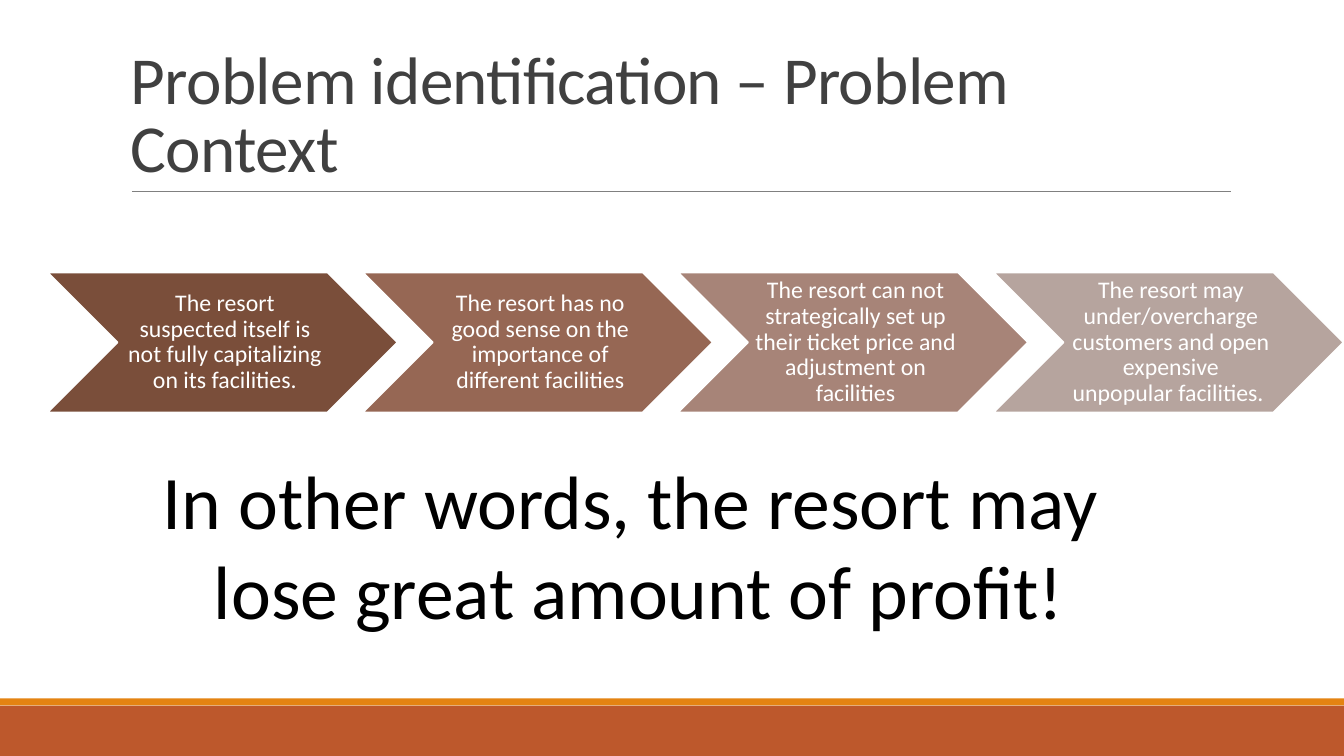
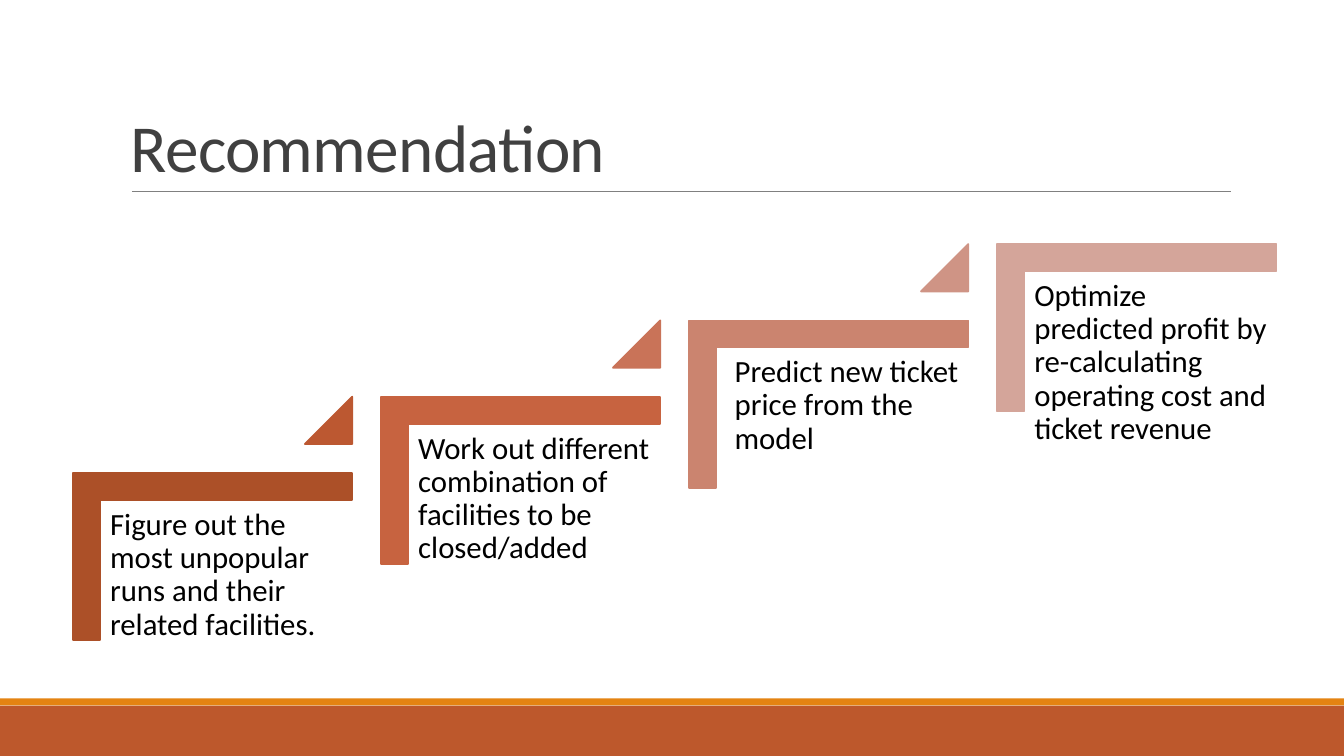
from dataclasses import dataclass

from lxml.etree import SubElement
from pptx import Presentation
from pptx.dml.color import RGBColor
from pptx.enum.shapes import MSO_CONNECTOR as Connector, MSO_SHAPE as Shape
from pptx.enum.text import MSO_ANCHOR as Anchor, MSO_AUTO_SIZE as AutoSize, PP_ALIGN as Align
from pptx.oxml.ns import qn
from pptx.util import Pt


@dataclass(frozen=True)
class Theme:
    width: float = 960
    height: float = 540
    font: str = "Calibri"
    title_size: float = 48
    statement_size: float = 54
    chevron_size: float = 17
    step_size: float = 22
    title: str = "404040"
    text: str = "000000"
    light: str = "FFFFFF"
    rule: str = "808080"
    band: str = "BD582C"
    stripe: str = "E48312"
    outline: float = 1.25


THEME = Theme()

CHEVRONS = [
    ("7A4E3A", "The resort suspected itself is not fully capitalizing on its facilities."),
    ("966754", "The resort has no good sense on the importance of different facilities"),
    ("A78478", "The resort can not strategically set up their ticket price and adjustment on facilities"),
    ("B6A49E", "The resort may under/overcharge customers and open expensive unpopular facilities. "),
]
STATEMENT = ["In other words, the resort may ", "lose great amount of profit!"]

# Corner colour, colour of the triangle after it, text indent, text
STEPS = [
    ("AC5028", "BC5831", 20, "Figure out the most unpopular runs and their related facilities."),
    ("C76340", "C97358", 20, "Work out different combination of facilities to be closed/added"),
    ("CB846F", "CF9485", 26, "Predict new ticket price from the model"),
    ("D4A59A", None, 20, "Optimize predicted profit by re-calculating operating cost and ticket revenue"),
]


def apply_format(target, values):
    for name, value in values.items():
        setattr(target, name, value)


def points(*lengths):
    return [Pt(length) for length in lengths]


def write_text(shape, lines, size, color, spacing=1.0, align=Align.LEFT, insets=None, tracking=None, **frame_format):
    frame = shape.text_frame
    apply_format(frame, {"word_wrap": True, **frame_format})
    if insets:
        sides = ("margin_left", "margin_top", "margin_right", "margin_bottom")
        apply_format(frame, dict(zip(sides, points(*insets))))
    for index, line in enumerate(lines):
        paragraph = frame.paragraphs[0] if index == 0 else frame.add_paragraph()
        apply_format(paragraph, {"alignment": align, "line_spacing": spacing})
        run = paragraph.add_run()
        run.text = line
        apply_format(run.font, {"name": THEME.font, "size": Pt(size)})
        run.font.color.rgb = RGBColor.from_string(color)
        if tracking:
            run.font._element.set("spc", str(tracking))


def add_box(slide, kind, box, fill, line=None):
    shape = slide.shapes.add_shape(kind, *points(*box))
    shape.shadow.inherit = False
    shape.fill.solid()
    shape.fill.fore_color.rgb = RGBColor.from_string(fill)
    if line:
        shape.line.color.rgb = RGBColor.from_string(line)
        shape.line.width = Pt(THEME.outline)
    else:
        shape.line.fill.background()
    return shape


def add_corner(slide, box, color):
    left, top, width, height = box
    # Placed upright, then turned about its centre
    turn = (width - height) / 2
    corner = add_box(slide, Shape.RECTANGLE, (left + turn, top - turn, height, width), color, color)
    corner.rotation = 90
    # The corner preset has no member in MSO_SHAPE
    geometry = corner._element.spPr.find(qn("a:prstGeom"))
    geometry.set("prst", "corner")
    guides = geometry.find(qn("a:avLst"))
    for name in ("adj1", "adj2"):
        SubElement(guides, qn("a:gd"), name=name, fmla="val 16100")


def add_text(slide, box, lines, size, color, **text_format):
    write_text(slide.shapes.add_textbox(*points(*box)), lines, size, color, **text_format)


def add_base_slide(presentation, title):
    slide = presentation.slides.add_slide(presentation.slide_layouts[6])
    # Footer bands
    add_box(slide, Shape.RECTANGLE, (0, 504, THEME.width, 36), THEME.band)
    add_box(slide, Shape.RECTANGLE, (0, 498.8, THEME.width, 5.04), THEME.stripe)
    # Rule below the title
    rule = slide.shapes.add_connector(Connector.STRAIGHT, *points(94.3, 136.8, 879.1, 136.8))
    rule.line.color.rgb = RGBColor.from_string(THEME.rule)
    rule.line.width = Pt(0.5)
    SubElement(rule._element.spPr, qn("a:effectLst"))
    # Title
    add_text(slide, (86.4, 22.5, 792, 114.3), [title], THEME.title_size, THEME.title,
             spacing=0.85, tracking=-50, vertical_anchor=Anchor.BOTTOM)
    return slide


def add_chevron_row(slide, box):
    left, top, width, height = box
    chevron_width = 2.5 * height
    pitch = (width - chevron_width) / (len(CHEVRONS) - 1)
    for index, (color, text) in enumerate(CHEVRONS):
        chevron = add_box(slide, Shape.CHEVRON, (left + index * pitch, top, chevron_width, height),
                          color, THEME.light)
        write_text(chevron, [text], THEME.chevron_size, THEME.light, spacing=0.9, align=Align.CENTER,
                   insets=(5, 1.4, 1.4, 1.4), vertical_anchor=Anchor.MIDDLE)


def add_statement(slide, box):
    add_text(slide, box, STATEMENT, THEME.statement_size, THEME.text, align=Align.CENTER,
             word_wrap=False, auto_size=AutoSize.SHAPE_TO_FIT_TEXT)


def add_staircase(slide, box):
    left, top, width, height = box
    step_width, step_height, triangle = 199.4, 119.5, 33.8
    last = len(STEPS) - 1
    pitch = (width - step_width) / last
    rise = (height - step_height) / last
    for index, (corner_color, triangle_color, indent, text) in enumerate(STEPS):
        x = left + index * pitch
        y = top + (last - index) * rise
        add_corner(slide, (x, y, step_width, step_height), corner_color)
        # Step text
        add_text(slide, (x + indent, y + 19, 180, 157.7), [text], THEME.step_size, THEME.text,
                 spacing=0.9, insets=(6.5,) * 4)
        # Triangle leading up to the next step
        if triangle_color:
            marker = add_box(slide, Shape.ISOSCELES_TRIANGLE,
                             (x + step_width - triangle, y - rise, triangle, triangle),
                             triangle_color, triangle_color)
            marker.adjustments[0] = 1


def build_context_slide(presentation):
    slide = add_base_slide(presentation, "Problem identification – Problem Context")
    add_chevron_row(slide, (33.9, 194.6, 925.7, 100))
    add_statement(slide, (105.1, 320.4, 702.7, 138.2))


def build_recommendation_slide(presentation):
    slide = add_base_slide(presentation, "Recommendation")
    add_staircase(slide, (52.2, 174.4, 859.6, 283))


def main():
    presentation = Presentation()
    apply_format(presentation, {"slide_width": Pt(THEME.width), "slide_height": Pt(THEME.height)})
    build_context_slide(presentation)
    build_recommendation_slide(presentation)
    presentation.save("out.pptx")


if __name__ == "__main__":
    main()
